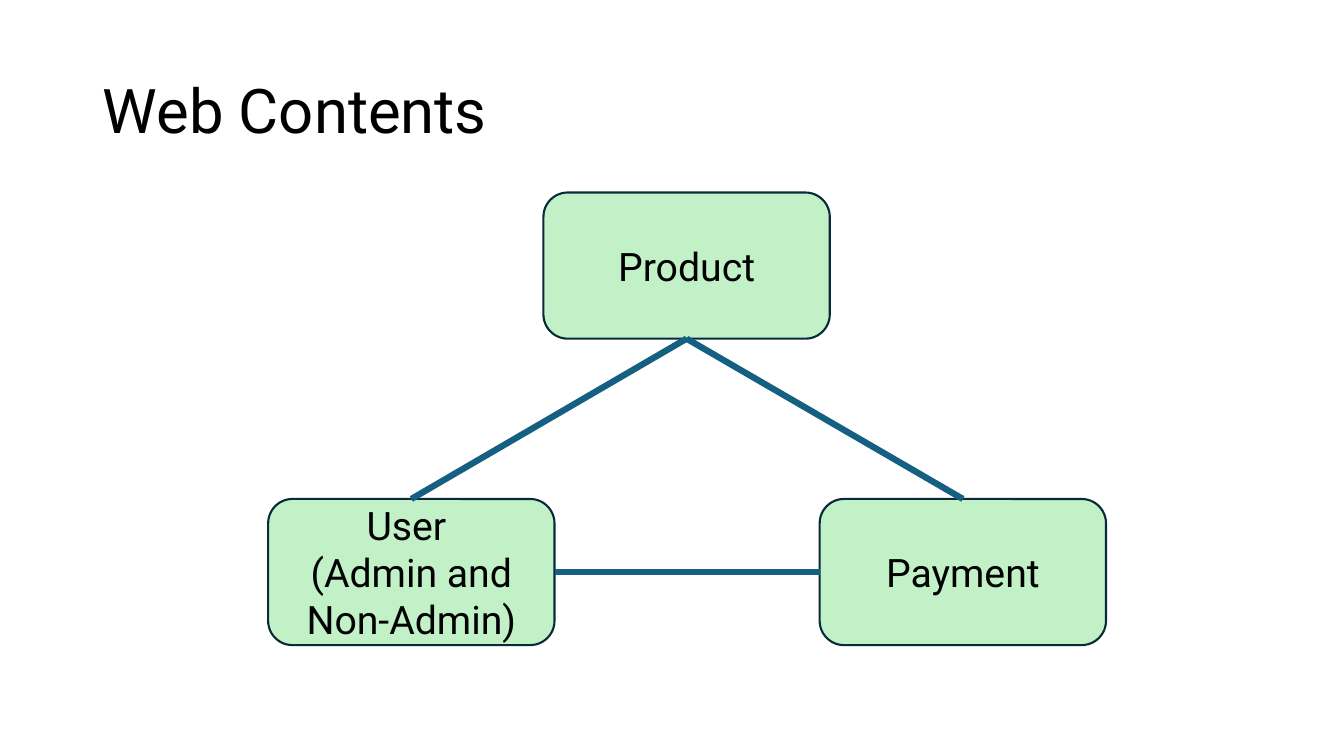
import pptx
import pptx.util
import pptx.dml.color
import pptx.enum.shapes
import pptx.enum.text
import pptx.oxml.ns
import lxml.etree

Inches = pptx.util.Inches
Pt = pptx.util.Pt
RGBColor = pptx.dml.color.RGBColor

COLORS = {"text": "000000", "box": "C2F1C8", "outline": "092A39", "link": "156082"}
FONT = "Roboto"
BOX_WIDTH, BOX_HEIGHT = 2.84, 1.45
TOP, LEFT, BOTTOM, RIGHT = range(4)


def write_text(frame, lines, size, alignment):
    frame.word_wrap = True
    frame.vertical_anchor = pptx.enum.text.MSO_ANCHOR.MIDDLE
    frame.text = "\n".join(lines)
    for paragraph in frame.paragraphs:
        paragraph.alignment = alignment
        paragraph.font.name = FONT
        paragraph.font.size = Pt(size)
        paragraph.font.color.rgb = RGBColor.from_string(COLORS["text"])


presentation = pptx.Presentation()
presentation.slide_width = Inches(13.33)
presentation.slide_height = Inches(7.5)
slide = presentation.slides.add_slide(presentation.slide_layouts[6])

title = slide.shapes.add_textbox(Inches(0.92), Inches(0.4), Inches(11.5), Inches(1.45))
write_text(title.text_frame, ["Web Contents"], 44, pptx.enum.text.PP_ALIGN.LEFT)
title.text_frame.paragraphs[0].line_spacing = 0.9

# Content areas: name, left, top, lines of text
areas = [
    ("product", 5.39, 1.91, ["Product"]),
    ("payment", 8.13, 4.95, ["Payment"]),
    ("user", 2.66, 4.95, ["User ", "(Admin and Non-Admin)"]),
]
boxes = {}
for name, left, top, lines in areas:
    box = slide.shapes.add_shape(
        pptx.enum.shapes.MSO_SHAPE.FLOWCHART_ALTERNATE_PROCESS,
        Inches(left), Inches(top), Inches(BOX_WIDTH), Inches(BOX_HEIGHT))
    box.shadow.inherit = False
    box.fill.solid()
    box.fill.fore_color.rgb = RGBColor.from_string(COLORS["box"])
    box.line.color.rgb = RGBColor.from_string(COLORS["outline"])
    box.line.width = Pt(1.5)
    write_text(box.text_frame, lines, 28, pptx.enum.text.PP_ALIGN.CENTER)
    boxes[name] = box

links = [
    ("product", BOTTOM, "user", TOP),
    ("product", BOTTOM, "payment", TOP),
    ("user", RIGHT, "payment", LEFT),
]
for start, start_side, end, end_side in links:
    link = slide.shapes.add_connector(
        pptx.enum.shapes.MSO_CONNECTOR.STRAIGHT, 0, 0, 0, 0)
    link.begin_connect(boxes[start], start_side)
    link.end_connect(boxes[end], end_side)
    link.line.color.rgb = RGBColor.from_string(COLORS["link"])
    link.line.width = Pt(4.5)
    lxml.etree.SubElement(link.element.spPr, pptx.oxml.ns.qn("a:effectLst"))

presentation.save("out.pptx")
